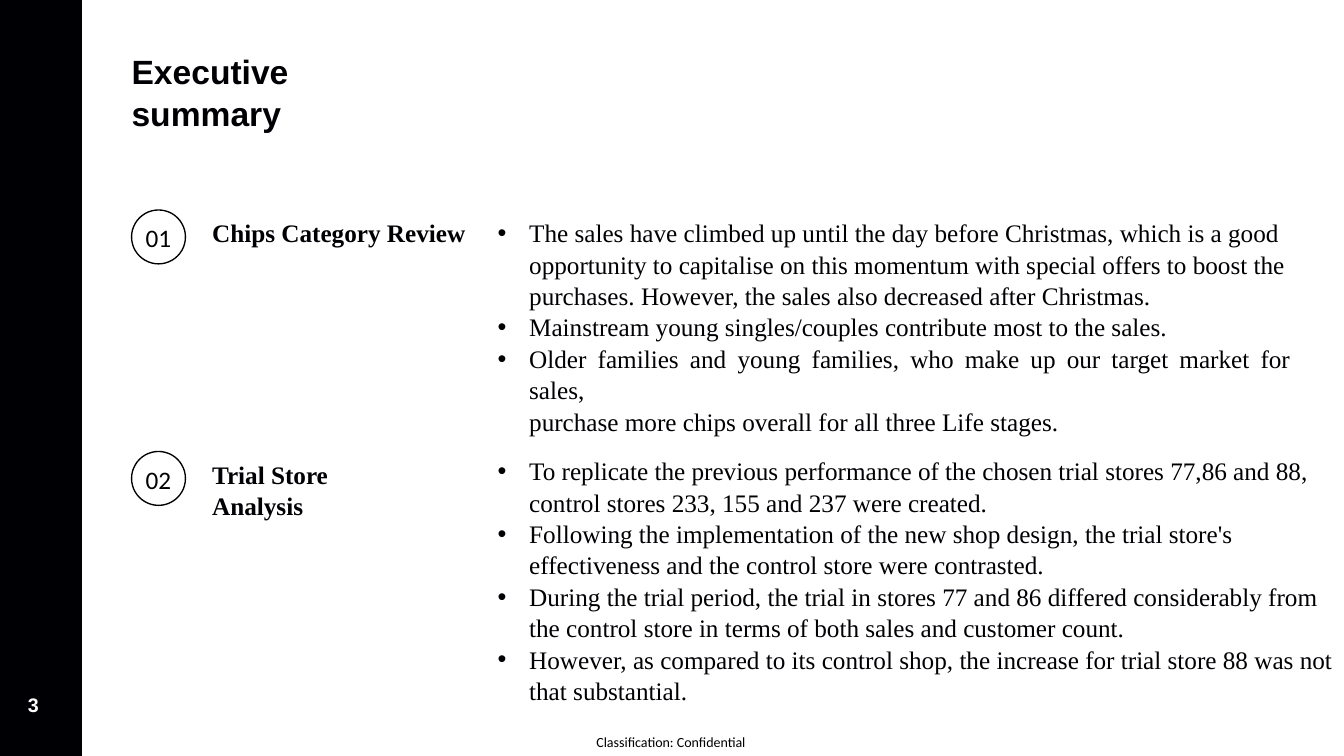
import pptx
import pptx.util
import pptx.dml.color
import pptx.enum.shapes
import pptx.enum.text
from lxml import etree

Pt = pptx.util.Pt
ALIGN = pptx.enum.text.PP_ALIGN
SHAPE = pptx.enum.shapes.MSO_SHAPE

TITLE = "Executive summary"
PAGE = "3"
FOOTER = "Classification: Confidential"
COLORS = {"ink": "000004", "line": "000000", "white": "FFFFFF"}

# number, heading, heading width, top of circle, top of list, list width, bullets
PARTS = [
    ("01", "Chips Category Review", 190, 150, 153.5, 568, [
        "The sales have climbed up until the day before Christmas, which is "
        "a good opportunity to capitalise on this momentum with special "
        "offers to boost the purchases. However, the sales also decreased "
        "after Christmas.",
        "Mainstream young singles/couples contribute most to the sales.",
        "Older families and young families, who make up our target market "
        "for sales,\vpurchase more chips overall for all three Life stages.",
    ]),
    ("02", "Trial Store Analysis", 140, 322.5, 323.5, 602, [
        "To replicate the previous performance of the chosen trial stores "
        "77,86 and 88,\vcontrol stores 233, 155 and 237 were created.",
        "Following the implementation of the new shop design, the trial "
        "store's\veffectiveness and the control store were contrasted.",
        "During the trial period, the trial in stores 77 and 86 differed "
        "considerably from\vthe control store in terms of both sales and "
        "customer count.",
        "However, as compared to its control shop, the increase for trial "
        "store 88 was not that substantial.",
    ]),
]
JUSTIFIED = PARTS[0][-1][-1]
LEFT, HEAD, LIST = 94, 151.5, 354
DISC, HANG = 38.5, 24
STEP = 1.04


def rgb(name):
    return pptx.dml.color.RGBColor.from_string(COLORS[name])


def place(shape, x, y, w, h):
    shape.left, shape.top, shape.width, shape.height = map(Pt, (x, y, w, h))


def write(shape, text, size, font, color="ink", bold=False, align=ALIGN.LEFT):
    """Fill a shape with text, without insets, from the top down."""
    frame = shape.text_frame
    frame.text = text
    frame.word_wrap = True
    frame.auto_size = pptx.enum.text.MSO_AUTO_SIZE.NONE
    frame.vertical_anchor = pptx.enum.text.MSO_ANCHOR.TOP
    frame.margin_left = frame.margin_right = frame.margin_bottom = 0
    frame.margin_top = Pt(1)
    for para in frame.paragraphs:
        para.alignment = align
        para.space_before = para.space_after = Pt(0)
        for run in para.runs:
            run.font.size, run.font.name = Pt(size), font
            run.font.bold, run.font.color.rgb = bold, rgb(color)
    return frame


def label(x, y, w, h, *args, **style):
    box = slide.shapes.add_textbox(Pt(x), Pt(y), Pt(w), Pt(h))
    return write(box, *args, **style)


def bullet(para):
    props = para._p.get_or_add_pPr()
    props.set("marL", str(Pt(HANG)))
    props.set("indent", str(-Pt(22.5)))
    for tag, key, value in (("buFont", "typeface", "Arial"),
                            ("buChar", "char", "•")):
        node = etree.SubElement(props, pptx.oxml.ns.qn("a:" + tag))
        node.set(key, value)


def draw(kind, x, y, w, h):
    shape = slide.shapes.add_shape(kind, Pt(x), Pt(y), Pt(w), Pt(h))
    shape.shadow.inherit = False
    return shape


deck = pptx.Presentation()
deck.slide_width, deck.slide_height = Pt(960), Pt(540)
slide = deck.slides.add_slide(deck.slide_layouts[3])
for spot in list(slide.placeholders):
    if spot.placeholder_format.idx > 2:
        spot._element.getparent().remove(spot._element)

band = draw(SHAPE.RECTANGLE, 0, 0, 58.5, 540)
band.fill.solid()
band.fill.fore_color.rgb = rgb("ink")
band.line.fill.background()

title = slide.shapes.title
place(title, LEFT, 34.5, 210, 62)
frame = write(title, TITLE, 24, "Arial", bold=True)
frame.paragraphs[0].line_spacing = STEP

for spot, part in enumerate(PARTS, 1):
    number, head, wide, top, start, width, points = part
    disc = draw(SHAPE.OVAL, LEFT, top, DISC, DISC)
    disc.fill.background()
    disc.line.color.rgb, disc.line.width = rgb("line"), Pt(0.96)
    frame = write(disc, number, 18, "Calibri", "line", align=ALIGN.CENTER)
    frame.vertical_anchor = pptx.enum.text.MSO_ANCHOR.MIDDLE

    frame = label(HEAD, top + 3.5, wide, 24, head, 18, "Times New Roman",
                  bold=True)
    frame.paragraphs[0].line_spacing = STEP

    body = slide.placeholders[spot]
    place(body, LIST, start, width, 21.6 * 8)
    frame = write(body, "\n".join(points), 18, "Times New Roman")
    for para, point in zip(frame.paragraphs, points):
        para.line_spacing = STEP
        if point == JUSTIFIED:
            para.alignment = ALIGN.JUSTIFY
        bullet(para)

label(20, 494, 20, 18, PAGE, 14, "Arial", "white", bold=True)
label(426, 523, 112, 13, FOOTER, 10, "Calibri", "line")

deck.save("out.pptx")
